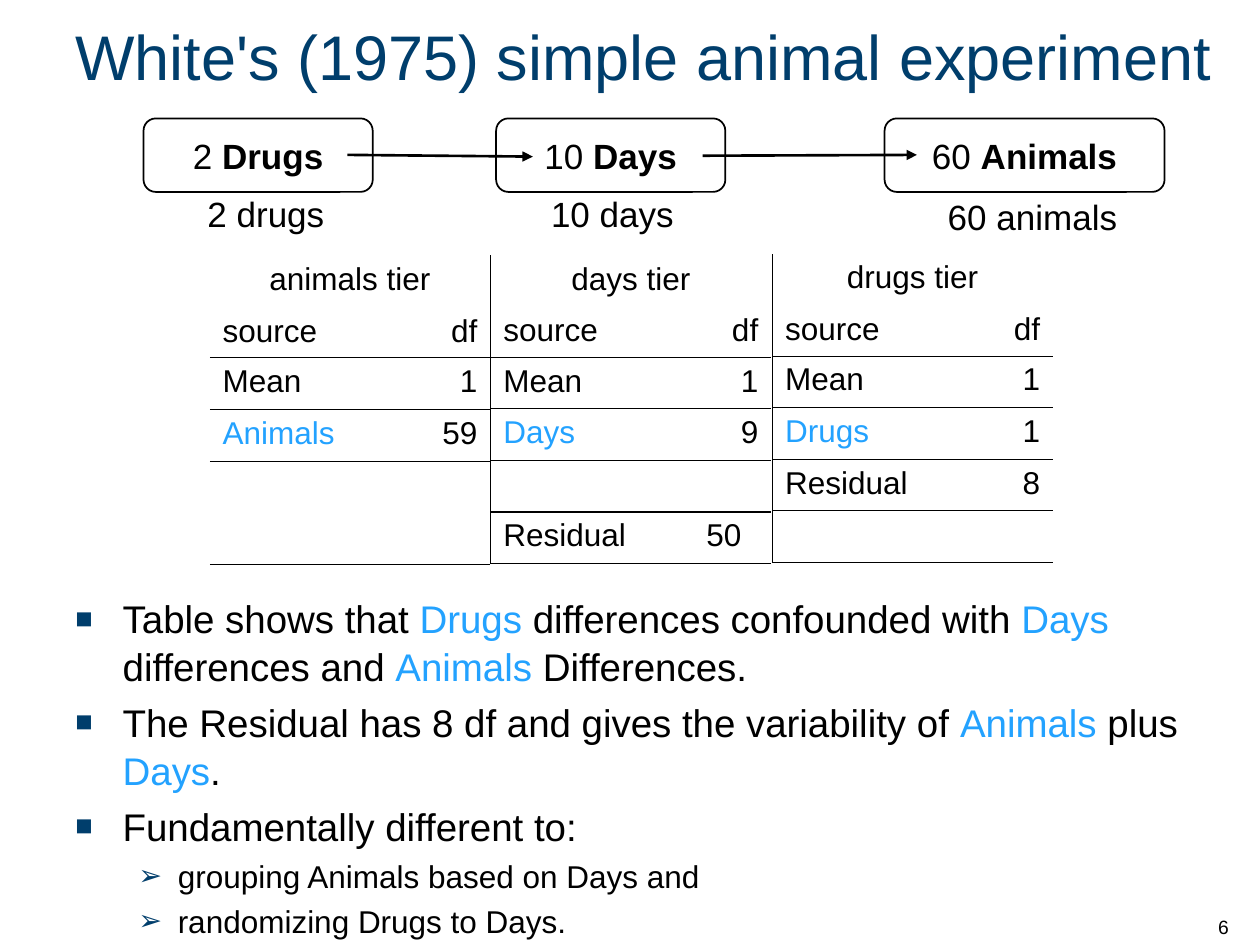
from typing import NamedTuple

import pptx
import pptx.dml.color
import pptx.enum.shapes
import pptx.enum.text
import pptx.oxml
import pptx.oxml.ns
import pptx.util
from lxml import etree

Pt = pptx.util.Pt
ALIGN = pptx.enum.text.PP_ALIGN
ANCHOR = pptx.enum.text.MSO_ANCHOR
qn = pptx.oxml.ns.qn

FONT = "Arial"
BLACK, NAVY, SKY = "000000", "003E6C", "23A2FF"
NO_TABLE_STYLE = "{2D5ABB26-0587-4C30-8999-92F81FD0307C}"
HEADER_H, SOURCE_H, ROW_H = 29.5, 27.5, 29.5


class Run(NamedTuple):
    text: str
    color: str = BLACK
    bold: bool = False


class Factor(NamedTuple):
    count: str
    name: str
    box_left: float
    box_width: float
    label_left: float
    label_top: float


class Arrow(NamedTuple):
    x1: float
    y1: float
    x2: float
    y2: float


class Tier(NamedTuple):
    title: str
    left: float
    top: float
    widths: tuple[float, float]
    rows: list[tuple[str, str]]
    left_rule: bool


class Bullet(NamedTuple):
    runs: list[Run]
    level: int = 0


class BulletStyle(NamedTuple):
    char: str
    percent: int
    size: float
    margin: float
    hanging: float


FACTORS = [
    Factor("2", "Drugs", 82, 131, 95, 106.5),
    Factor("10", "Days", 283.5, 131, 293, 106.5),
    Factor("60", "Animals", 505.5, 160, 533, 108),
]
ARROWS = [Arrow(198.5, 88.5, 304.5, 89.5), Arrow(401.5, 89, 524, 88.5)]
TIERS = [
    Tier("animals tier", 120, 146.2, (113, 47),
         [("Mean", "1"), ("Animals", "59"), ("", ""), ("", "")], False),
    Tier("days tier", 280.5, 145.8, (116, 44),
         [("Mean", "1"), ("Days", "9"), ("", ""), ("Residual", "50")], True),
    Tier("drugs tier", 441.5, 145.2, (116, 44),
         [("Mean", "1"), ("Drugs", "1"), ("Residual", "8"), ("", "")], True),
]
BULLETS = [
    Bullet([Run("Table shows that "), Run("Drugs", SKY),
            Run(" differences confounded with "), Run("Days", SKY),
            Run(" differences and "), Run("Animals", SKY), Run(" Differences.")]),
    Bullet([Run("The Residual has 8 df and gives the variability of "),
            Run("Animals", SKY), Run(" plus "), Run("Days", SKY), Run(".")]),
    Bullet([Run("Fundamentally different to:")]),
    Bullet([Run("grouping Animals based on Days and")], 1),
    Bullet([Run("randomizing Drugs to Days.")], 1),
]
BULLET_STYLES = [BulletStyle("■", 75, 22, 27, 27), BulletStyle("➢", 90, 18, 58.5, 22.5)]


def rgb(color: str) -> pptx.dml.color.RGBColor:
    return pptx.dml.color.RGBColor.from_string(color)


def add_runs(p, runs: list[Run], size: float, align=ALIGN.LEFT) -> None:
    p.alignment = align
    for run in runs:
        r = p.add_run()
        r.text = run.text
        r.font.name, r.font.size, r.font.bold = FONT, Pt(size), run.bold
        r.font.color.rgb = rgb(run.color)


def add_text_box(s, left: float, top: float, width: float, height: float,
                 anchor=ANCHOR.TOP):
    tf = s.shapes.add_textbox(Pt(left), Pt(top), Pt(width), Pt(height)).text_frame
    tf.word_wrap = True
    tf.vertical_anchor = anchor
    return tf


def add_factor(s, factor: Factor) -> None:
    """Draw a factor's rounded box and the count of objects below it."""
    sp = s.shapes.add_shape(pptx.enum.shapes.MSO_SHAPE.ROUNDED_RECTANGLE,
                            Pt(factor.box_left), Pt(67.7), Pt(factor.box_width), Pt(42))
    sp.shadow.inherit = False
    sp.fill.background()
    sp.line.color.rgb = rgb(BLACK)
    sp.line.width = Pt(1)
    tf = sp.text_frame
    tf.word_wrap = False
    tf.vertical_anchor = ANCHOR.MIDDLE
    add_runs(tf.paragraphs[0], [Run(f"{factor.count} "), Run(factor.name, bold=True)],
             20, ALIGN.CENTER)
    tf = add_text_box(s, factor.label_left, factor.label_top, 114, 31)
    add_runs(tf.paragraphs[0], [Run(f"{factor.count} {factor.name.lower()}")],
             20, ALIGN.CENTER)


def add_arrow(s, arrow: Arrow) -> None:
    line = s.shapes.add_connector(pptx.enum.shapes.MSO_CONNECTOR.STRAIGHT,
                                  *(Pt(v) for v in arrow))
    line.line.color.rgb = rgb(BLACK)
    line.line.width = Pt(1.5)
    etree.SubElement(line.line._get_or_add_ln(), qn("a:tailEnd"), type="triangle")
    etree.SubElement(line._element.spPr, qn("a:effectLst"))


def set_borders(cell, left: bool, bottom: bool) -> None:
    tc_pr = cell._tc.get_or_add_tcPr()
    sides = [side for side, shown in (("L", left), ("B", bottom)) if shown]
    for i, side in enumerate(sides):
        ln = pptx.oxml.parse_xml(
            f'<a:ln{side} xmlns:a="http://schemas.openxmlformats.org/drawingml/2006/main" '
            f'w="{Pt(0.75)}"><a:solidFill><a:srgbClr val="{BLACK}"/></a:solidFill></a:ln{side}>')
        tc_pr.insert(i, ln)


def add_tier(s, tier: Tier) -> None:
    rows = [(tier.title, ""), ("source", "df"), *tier.rows]
    heights = [HEADER_H, SOURCE_H] + [ROW_H] * len(tier.rows)
    frame = s.shapes.add_table(len(rows), 2, Pt(tier.left), Pt(tier.top),
                               Pt(sum(tier.widths)), Pt(sum(heights)))
    table = frame.table
    table.first_row = table.horz_banding = False
    table._tbl.tblPr.find(qn("a:tableStyleId")).text = NO_TABLE_STYLE
    for column, width in zip(table.columns, tier.widths):
        column.width = Pt(width)
    table.cell(0, 0).merge(table.cell(0, 1))
    for i, (texts, height) in enumerate(zip(rows, heights)):
        table.rows[i].height = Pt(height)
        blank_pair = i + 1 < len(rows) and not any(rows[i] + rows[i + 1])
        for j, text in enumerate(texts):
            cell = table.cell(i, j)
            cell.fill.background()
            set_borders(cell, tier.left_rule and j == 0, i > 0 and not blank_pair)
            if not text:
                continue
            align = ALIGN.CENTER if i == 0 else ALIGN.RIGHT if j else ALIGN.LEFT
            if text == "50":
                align = ALIGN.LEFT
            color = SKY if text in ("Animals", "Days", "Drugs") else BLACK
            add_runs(cell.text_frame.paragraphs[0], [Run(text, color)], 18, align)


def add_bullet(p, bullet: Bullet, first: bool) -> None:
    style = BULLET_STYLES[bullet.level]
    p.level = bullet.level
    p.line_spacing = 1.04
    p.space_before = Pt(0 if first else 0.2 * style.size)
    p_pr = p._p.get_or_add_pPr()
    p_pr.set("marL", str(Pt(style.margin)))
    p_pr.set("indent", str(-Pt(style.hanging)))
    bu_color = etree.SubElement(p_pr, qn("a:buClr"))
    etree.SubElement(bu_color, qn("a:srgbClr"), val=NAVY)
    etree.SubElement(p_pr, qn("a:buSzPct"), val=str(style.percent * 1000))
    etree.SubElement(p_pr, qn("a:buFont"), typeface=FONT)
    etree.SubElement(p_pr, qn("a:buChar"), char=style.char)
    add_runs(p, bullet.runs, style.size)


def main() -> None:
    prs = pptx.Presentation()
    prs.slide_width, prs.slide_height = Pt(720), Pt(540)
    s = prs.slides.add_slide(prs.slide_layouts[6])

    tf = add_text_box(s, 36, -0.7, 684, 65, ANCHOR.MIDDLE)
    add_runs(tf.paragraphs[0], [Run("White's (1975) simple animal experiment", NAVY)], 36)

    tf = add_text_box(s, 36, 335.5, 666, 196.5)
    for i, bullet in enumerate(BULLETS):
        add_bullet(tf.add_paragraph() if i else tf.paragraphs[0], bullet, i == 0)

    for tier in TIERS:
        add_tier(s, tier)
    for factor in FACTORS:
        add_factor(s, factor)
    for arrow in ARROWS:
        add_arrow(s, arrow)

    tf = add_text_box(s, 689, 504, 30, 36, ANCHOR.BOTTOM)
    add_runs(tf.paragraphs[0], [Run("6")], 11)
    prs.save("out.pptx")


if __name__ == "__main__":
    main()
